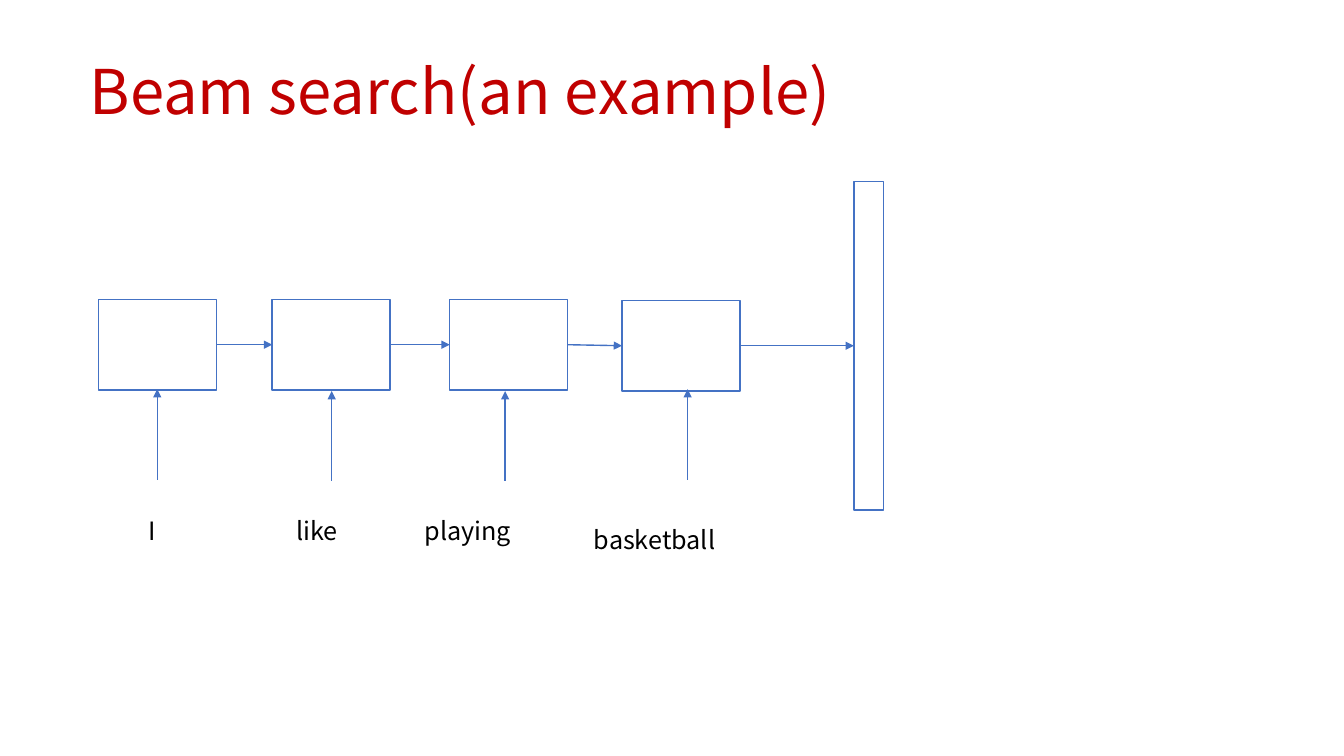
from pptx import Presentation
from pptx.dml.color import RGBColor as RGB
from pptx.enum.shapes import MSO_CONNECTOR as Conn, MSO_SHAPE as Shape
from pptx.enum.text import MSO_ANCHOR as Anchor
from pptx.oxml.ns import qn
from pptx.util import Pt
from lxml.etree import SubElement as Sub

PX = 9144  # EMU, 100 px to the inch
RED = RGB(0xC0, 0x00, 0x00)
BLUE = RGB(0x44, 0x72, 0xC4)
BLACK = RGB(0, 0, 0)
WHITE = RGB(0xFF, 0xFF, 0xFF)


class Board:
    font = "Noto Sans CJK SC"
    line = Pt(1)

    def __init__(self, slide):
        self.shapes = slide.shapes

    def text(self, words, x, y, w, h, size, color, pad, anchor=Anchor.TOP, lead=1.0):
        frame = self.shapes.add_textbox(x * PX, y * PX, w * PX, h * PX).text_frame
        frame.word_wrap = True
        frame.vertical_anchor = anchor
        frame.margin_left = frame.margin_right = pad * PX
        frame.margin_top = frame.margin_bottom = 5 * PX
        frame.text = words
        para = frame.paragraphs[0]
        para.line_spacing = lead
        font = para.runs[0].font
        font.name, font.size, font.color.rgb = self.font, Pt(size), color

    def box(self, x, y, w, h):
        box = self.shapes.add_shape(Shape.RECTANGLE, x * PX, y * PX, w * PX, h * PX)
        box.shadow.inherit = False
        box.fill.solid()
        box.fill.fore_color.rgb = WHITE
        box.line.color.rgb = BLUE
        box.line.width = self.line

    def arrow(self, x1, y1, x2, y2):
        link = self.shapes.add_connector(
            Conn.STRAIGHT, x1 * PX, y1 * PX, x2 * PX, y2 * PX)
        link.line.color.rgb = BLUE
        link.line.width = self.line
        Sub(link.line._get_or_add_ln(), qn("a:tailEnd"), type="triangle")
        Sub(link._element.spPr, qn("a:effectLst"))


def main():
    deck = Presentation()
    deck.slide_width, deck.slide_height = 1333 * PX, 750 * PX
    board = Board(deck.slides.add_slide(deck.slide_layouts[6]))

    board.text("Beam search(an example)", 79, 21, 1150, 145, 44, RED, 10,
               Anchor.MIDDLE, 0.9)

    wide, high = 117, 90
    # word, cell left and top, input arrow x, foot and tip, label left, top and width
    steps = [
        ("I", 98, 297, 156, 476, 386, 142, 506, 58),
        ("like", 270, 297, 329, 477, 388, 289, 506, 98),
        ("playing", 446, 297, 501, 477, 388, 416, 506, 163),
        ("basketball", 617, 298, 682, 476, 386, 584, 515, 240),
    ]
    out_x, out_y = 847, 180
    ports = [(x, y + high // 2) for _, x, y, *_ in steps] + [(out_x, 343)]

    board.box(out_x, out_y, 29, 326)
    for word, x, y, mid, foot, tip, left, top, span in steps:
        board.box(x, y, wide, high)
        board.arrow(mid, foot, mid, tip)
        board.text(word, left, top, span, 75, 18, BLACK, 5)
    for (x1, y1), (x2, y2) in zip(ports, ports[1:]):
        board.arrow(x1 + wide, y1, x2, y2)

    deck.save("out.pptx")


if __name__ == "__main__":
    main()
